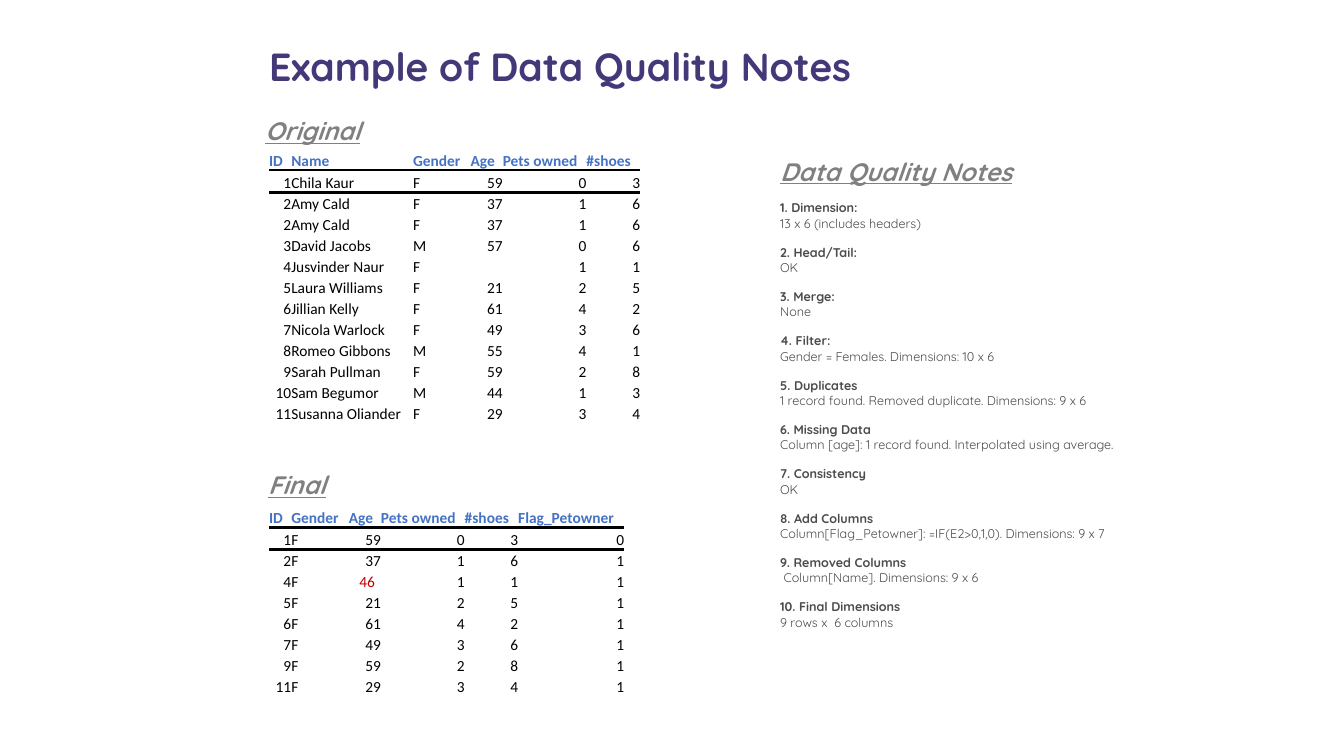
from lxml import etree
from pptx import Presentation
from pptx.dml.color import RGBColor
from pptx.enum.text import MSO_ANCHOR, MSO_AUTO_SIZE, PP_ALIGN
from pptx.oxml import parse_xml
from pptx.oxml.ns import nsdecls, qn
from pptx.util import Cm, Pt

LEFT, CENTER, RIGHT = PP_ALIGN.LEFT, PP_ALIGN.CENTER, PP_ALIGN.RIGHT
MIDDLE, BOTTOM = MSO_ANCHOR.MIDDLE, MSO_ANCHOR.BOTTOM
GROW = MSO_AUTO_SIZE.SHAPE_TO_FIT_TEXT
COLORS = {
    "title": "453878",
    "heading": "808080",
    "check": "4C4C4C",
    "header": "4472C4",
    "body": "000000",
    "imputed": "C00000",
}
PLAIN_TABLE_STYLE = "{2D5ABB26-0587-4C30-8999-92F81FD0307C}"
COLUMN_WIDTHS = {
    "ID": 0.56, "Name": 3.07, "Gender": 1.45, "Age": 0.81,
    "Pets owned": 2.11, "#shoes": 1.35, "Flag_Petowner": 2.67,
}

ORIGINAL_ROWS = [
    ("ID", "Name", "Gender", "Age", "Pets owned", "#shoes"),
    ("1", "Chila Kaur", "F", "59", "0", "3"),
    ("2", "Amy Cald", "F", "37", "1", "6"),
    ("2", "Amy Cald", "F", "37", "1", "6"),
    ("3", "David Jacobs", "M", "57", "0", "6"),
    ("4", "Jusvinder Naur", "F", "", "1", "1"),
    ("5", "Laura Williams", "F", "21", "2", "5"),
    ("6", "Jillian Kelly", "F", "61", "4", "2"),
    ("7", "Nicola Warlock", "F", "49", "3", "6"),
    ("8", "Romeo Gibbons", "M", "55", "4", "1"),
    ("9", "Sarah Pullman", "F", "59", "2", "8"),
    ("10", "Sam Begumor", "M", "44", "1", "3"),
    ("11", "Susanna Oliander", "F", "29", "3", "4"),
]
FINAL_ROWS = [
    ("ID", "Gender", "Age", "Pets owned", "#shoes", "Flag_Petowner"),
    ("1", "F", "59", "0", "3", "0"),
    ("2", "F", "37", "1", "6", "1"),
    ("4", "F", "46", "1", "1", "1"),
    ("5", "F", "21", "2", "5", "1"),
    ("6", "F", "61", "4", "2", "1"),
    ("7", "F", "49", "3", "6", "1"),
    ("9", "F", "59", "2", "8", "1"),
    ("11", "F", "29", "3", "4", "1"),
]
QUALITY_CHECKS = [
    ("1. Dimension:", "13 x 6 (includes headers)"),
    ("2. Head/Tail:", "OK"),
    ("3. Merge:", "None"),
    ("4. Filter:", "Gender = Females. Dimensions: 10 x 6"),
    ("5. Duplicates", "1 record found. Removed duplicate. Dimensions: 9 x 6"),
    ("6. Missing Data", "Column [age]: 1 record found. Interpolated using average."),
    ("7. Consistency", "OK"),
    ("8. Add Columns", "Column[Flag_Petowner]: =IF(E2>0,1,0). Dimensions: 9 x 7"),
    ("9. Removed Columns", " Column[Name]. Dimensions: 9 x 6"),
    ("10. Final Dimensions", "9 rows x  6 columns"),
]


class SlideBuilder:
    """Hold the text style and the current slide."""

    def __init__(self, slide):
        self.slide = slide
        self.text_font = "Quicksand"
        self.table_font = "Calibri"
        self.table_size = 11

    def add_run(self, paragraph, text, size, color, bold=False, font=None):
        run = paragraph.add_run()
        run.text = text
        run.font.name = font or self.text_font
        run.font.size = Pt(size)
        run.font.bold = bold
        run.font.color.rgb = RGBColor.from_string(COLORS[color])
        return run

    def title(self, text, left, top, width, height):
        shape = self.slide.shapes.title
        shape.left, shape.top, shape.width, shape.height = map(Cm, (left, top, width, height))
        frame = shape.text_frame
        frame.margin_left = frame.margin_right = frame.margin_top = frame.margin_bottom = 0
        frame.vertical_anchor = MIDDLE
        frame.paragraphs[0].alignment = LEFT
        self.add_run(frame.paragraphs[0], text, 28, "title", bold=True)

    def heading(self, text, left, top, width, height, alignment=LEFT):
        frame = self.slide.shapes.add_textbox(*map(Cm, (left, top, width, height))).text_frame
        frame.word_wrap = True
        frame.auto_size = GROW
        frame.paragraphs[0].alignment = alignment
        run = self.add_run(frame.paragraphs[0], text, 18, "heading", bold=True)
        run.font.italic = run.font.underline = True
        return frame

    def check_list(self, heading, checks, left, top, width, height):
        frame = self.heading(heading, left, top, width, height)
        for label, detail in checks:
            paragraph = frame.add_paragraph()
            paragraph.space_before = Pt(10)
            self.add_run(paragraph, label, 9, "check", bold=True)
            self.add_run(frame.add_paragraph(), detail, 9, "check")

    def border(self, cell, side):
        cell._tc.get_or_add_tcPr().append(parse_xml(
            f'<a:{side} {nsdecls("a")} w="25400"><a:solidFill>'
            f'<a:srgbClr val="{COLORS["body"]}"/></a:solidFill></a:{side}>'))

    def cell(self, cell, text, is_header, color):
        cell.margin_left = cell.margin_right = cell.margin_top = cell.margin_bottom = 0
        cell.vertical_anchor = BOTTOM
        cell.fill.background()
        paragraph = cell.text_frame.paragraphs[0]
        paragraph.alignment = RIGHT if text.isdigit() else LEFT
        if text:
            self.add_run(paragraph, text, self.table_size, color, is_header, self.table_font)
        else:
            etree.SubElement(paragraph._p, qn("a:endParaRPr"), sz=str(self.table_size * 100))

    def table(self, rows, left, top):
        widths = [COLUMN_WIDTHS[name] for name in rows[0]]
        heights = [0.56 if index < 2 else 0.53 for index in range(len(rows))]
        table = self.slide.shapes.add_table(
            len(rows), len(widths), Cm(left), Cm(top), Cm(sum(widths)), Cm(sum(heights))).table
        table._tbl.tblPr.find(qn("a:tableStyleId")).text = PLAIN_TABLE_STYLE
        table.first_row = table.horz_banding = False
        for column, width in zip(table.columns, widths):
            column.width = Cm(width)
        for row_index, values in enumerate(rows):
            table.rows[row_index].height = Cm(heights[row_index])
            for column_index, text in enumerate(values):
                cell = table.cell(row_index, column_index)
                if row_index < 2:
                    self.border(cell, "lnT" if row_index else "lnB")
                self.cell(cell, text, row_index == 0, "body" if row_index else "header")
        return table


def main():
    presentation = Presentation()
    presentation.slide_width, presentation.slide_height = Cm(33.87), Cm(19.05)
    builder = SlideBuilder(presentation.slides.add_slide(presentation.slide_layouts[5]))
    builder.title("Example of Data Quality Notes", 6.78, 1.07, 25.65, 1.19)
    builder.table(ORIGINAL_ROWS, 6.78, 3.73)
    builder.check_list("Data Quality Notes", QUALITY_CHECKS, 19.41, 3.81, 11.38, 13.34)
    final_table = builder.table(FINAL_ROWS, 6.78, 12.73)
    imputed_age = final_table.cell(3, 2)
    imputed_age.margin_right = Cm(0.15)
    imputed_run = imputed_age.text_frame.paragraphs[0].runs[0]
    imputed_run.font.color.rgb = RGBColor.from_string(COLORS["imputed"])
    builder.heading("Original", 6.43, 2.79, 4.7, 1.02)
    builder.heading("Final", 6.2, 11.71, 2.57, 1.02, CENTER)
    presentation.save("out.pptx")


if __name__ == "__main__":
    main()
